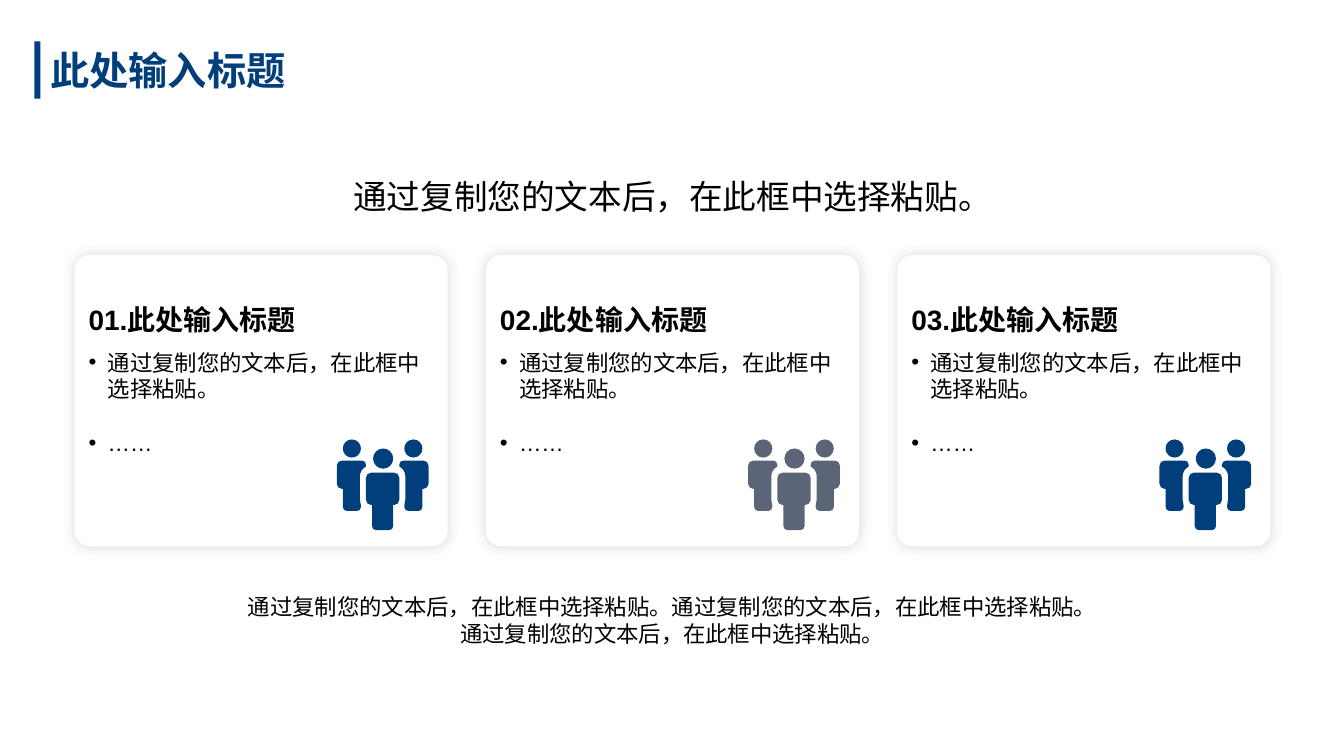
from math import dist

from lxml import etree
from pptx import Presentation
from pptx.dml.color import RGBColor
from pptx.enum.shapes import MSO_SHAPE
from pptx.enum.text import MSO_ANCHOR, PP_ALIGN
from pptx.oxml.ns import qn
from pptx.util import Inches, Pt

RECTANGLE, ROUNDED = MSO_SHAPE.RECTANGLE, MSO_SHAPE.ROUNDED_RECTANGLE
TOP, MIDDLE = MSO_ANCHOR.TOP, MSO_ANCHOR.MIDDLE
LEFT, CENTER = PP_ALIGN.LEFT, PP_ALIGN.CENTER
FONT = "Arial"
NAVY, SLATE, WHITE, BLACK = "003F7B", "5C6578", "FFFFFF", "000000"
HEADING = "此处输入标题"
SENTENCE = "通过复制您的文本后，在此框中选择粘贴。"
CARD_WIDTH, CARD_HEIGHT, CARD_STEP = 3.7, 2.89, 4.08

# Icon outlines: corners as x, y and rounding radius, in inches; the first is rounded
ICON_WIDTH = 0.91
FRONT_BODY = [(0.29, 0.33, 0.05), (0.62, 0.33, 0.05), (0.62, 0.65, 0.05), (0.56, 0.65, 0),
              (0.56, 0.9, 0.04), (0.35, 0.9, 0.04), (0.35, 0.65, 0), (0.29, 0.65, 0.05)]
SIDE_BODY = [(0, 0.21, 0.05), (0.29, 0.21, 0.04), (0.29, 0.27, 0), (0.23, 0.3, 0.06),
             (0.23, 0.6, 0), (0.24, 0.66, 0), (0.24, 0.71, 0.04), (0.06, 0.71, 0.04),
             (0.06, 0.49, 0), (0, 0.49, 0.05)]
ARC_REACHES = [(1, 0), (0.45, 0), (0, 0.45), (0, 1)]


def color(hex_string):
    return RGBColor.from_string(hex_string)


def fill_plain(shape, hex_string):
    shape.shadow.inherit = False
    shape.fill.solid()
    shape.fill.fore_color.rgb = color(hex_string)
    shape.line.fill.background()


def format_text(frame, size, hex_string=BLACK, bold=False, align=LEFT, anchor=MIDDLE):
    frame.word_wrap = True
    frame.vertical_anchor = anchor
    for para in frame.paragraphs:
        para.alignment = align
        for span in para.runs:
            span.font.name = FONT
            span.font.size = Pt(size)
            span.font.bold = bold
            span.font.color.rgb = color(hex_string)
            east_asian = etree.SubElement(span.font._element, qn("a:ea"))
            east_asian.set("typeface", FONT)


def add_text(shapes, box, text, size, **style):
    frame = shapes.add_textbox(*map(Inches, box)).text_frame
    frame.text = text
    format_text(frame, size, **style)
    return frame


def add_bullet(para):
    properties = para._p.get_or_add_pPr()
    properties.set("marL", str(Inches(0.19)))
    properties.set("indent", str(Inches(-0.19)))
    etree.SubElement(properties, qn("a:buFont")).set("typeface", FONT)
    etree.SubElement(properties, qn("a:buChar")).set("char", "•")


def add_soft_shadow(shape):
    effects = shape._element.spPr.find(qn("a:effectLst"))
    shadow = etree.SubElement(effects, qn("a:outerShdw"), blurRad=str(Pt(10)), dist="0",
                              algn="ctr", rotWithShape="0")
    tint = etree.SubElement(shadow, qn("a:srgbClr"), val=BLACK)
    etree.SubElement(tint, qn("a:alpha"), val="15000")


def head(x, y, radius):
    return [(x + dx * radius, y + dy * radius, radius)
            for dx, dy in ((-1, -1), (1, -1), (1, 1), (-1, 1))]


def mirrored(corners):
    return [(ICON_WIDTH - x, y, radius) for x, y, radius in corners]


def corner_points(corners):
    """Return one point for a sharp corner and four curve points for a rounded one."""
    points = []
    for i, (x, y, radius) in enumerate(corners):
        if not radius:
            points.append((x, y))
            continue
        before, after = corners[i - 1], corners[(i + 1) % len(corners)]
        reach_before = radius / dist((x, y), before[:2])
        reach_after = radius / dist((x, y), after[:2])
        for u, v in ARC_REACHES:
            u, v = u * reach_before, v * reach_after
            points.append((x + u * (before[0] - x) + v * (after[0] - x),
                           y + u * (before[1] - y) + v * (after[1] - y)))
    return points


def curve_corners(shape, outlines):
    """Merge the last three lines of every rounded corner into one curve."""
    outline_path = shape._element.spPr.find(f".//{qn('a:path')}")
    steps = iter(list(outline_path))
    for corners in outlines:
        for _, _, radius in corners:
            next(steps)
            if not radius:
                continue
            lines = [next(steps) for _ in range(3)]
            curve = etree.Element(qn("a:cubicBezTo"))
            lines[0].addprevious(curve)
            for line in lines:
                curve.append(line[0])
                outline_path.remove(line)
        next(steps)


def add_people_icon(shapes, left, top, hex_string):
    side_head = head(0.15, 0.09, 0.09)
    outlines = [FRONT_BODY, SIDE_BODY, mirrored(SIDE_BODY),
                head(0.46, 0.19, 0.1), side_head, mirrored(side_head)]
    builder = None
    for corners in outlines:
        points = [(Inches(left + x), Inches(top + y)) for x, y in corner_points(corners)]
        if builder is None:
            builder = shapes.build_freeform(*points[0])
        else:
            builder.move_to(*points[0])
        builder.add_line_segments(points[1:], close=True)
    icon = builder.convert_to_shape()
    curve_corners(icon, outlines)
    fill_plain(icon, hex_string)


def add_title(page, left, top, height):
    title = page.shapes.title
    title.left, title.top = Inches(left + 0.06), Inches(top)
    title.width, title.height = Inches(2.66), Inches(height)
    title.text_frame.text = HEADING
    format_text(title.text_frame, 28, NAVY, bold=True)
    fill_plain(title, WHITE)
    bar = page.shapes.add_shape(RECTANGLE, *map(Inches, (left, top, 0.06, height)))
    fill_plain(bar, NAVY)


def add_card(page, left, top, number, icon_color):
    shapes = page.shapes.add_group_shape().shapes
    panel = shapes.add_shape(ROUNDED, *map(Inches, (left, top, CARD_WIDTH, CARD_HEIGHT)))
    panel.adjustments[0] = 0.052
    fill_plain(panel, WHITE)
    add_soft_shadow(panel)
    add_people_icon(shapes, left + 2.6, top + 1.83, icon_color)
    add_text(shapes, (left + 0.04, top + 0.4, 3.61, 0.48),
             f"{number:02}.{HEADING}", 20, bold=True)
    points = add_text(shapes, (left + 0.04, top + 0.88, 3.61, 1.24),
                      f"{SENTENCE}\n……", 16, anchor=TOP)
    points.paragraphs[1].space_before = Pt(19)
    for para in points.paragraphs:
        add_bullet(para)


def add_closing_text(page, box):
    frame = add_text(page.shapes, box, f"{SENTENCE * 2}\n{SENTENCE}", 16, align=CENTER)
    frame.margin_bottom = Inches(0.32)


def main():
    deck = Presentation()
    deck.slide_width, deck.slide_height = Inches(13.33), Inches(7.5)
    page = deck.slides.add_slide(deck.slide_layouts[5])
    add_title(page, 0.34, 0.41, 0.57)
    for i, icon_color in enumerate((NAVY, SLATE, NAVY)):
        add_card(page, 0.74 + i * CARD_STEP, 2.53, i + 1, icon_color)
    add_text(page.shapes, (0.74, 1.6, 11.86, 0.7), SENTENCE, 24, align=CENTER)
    add_closing_text(page, (0.74, 5.85, 11.86, 0.88))
    deck.save("out.pptx")


if __name__ == "__main__":
    main()
